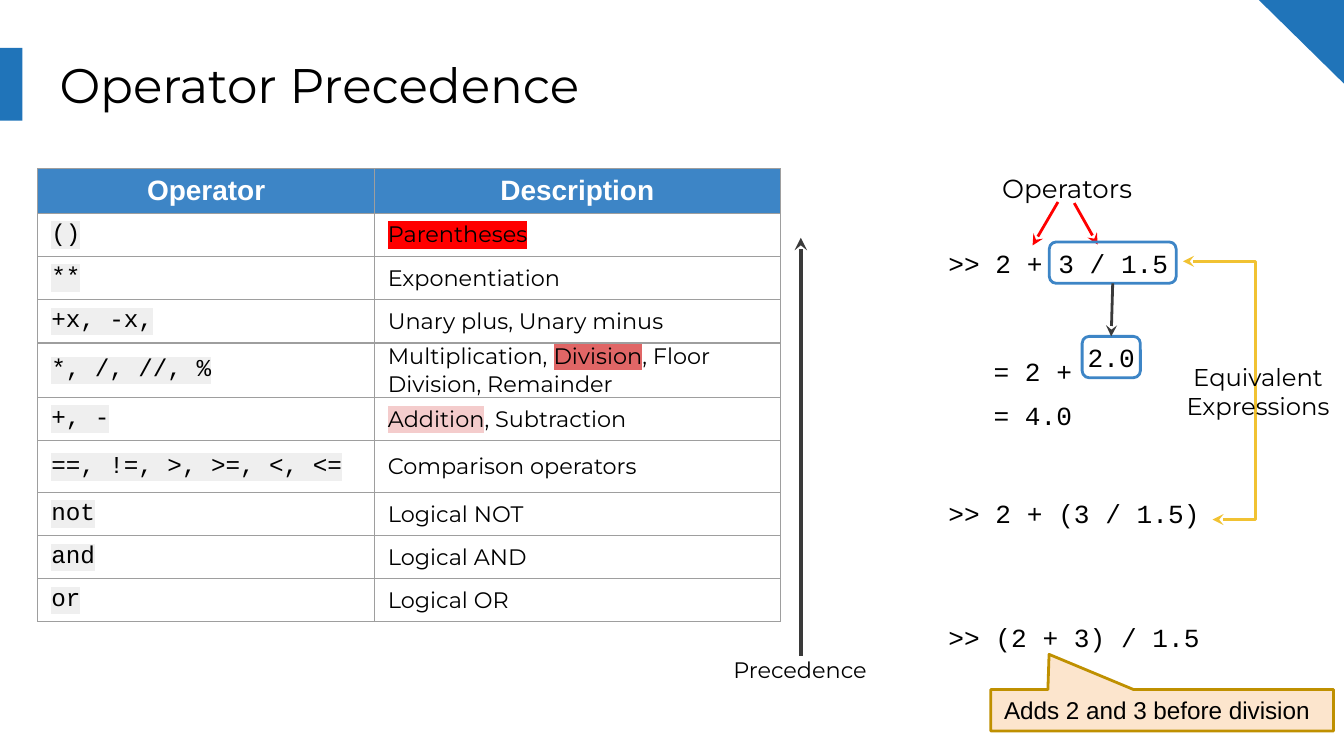
from lxml import etree
from pptx import Presentation
from pptx.dml.color import RGBColor
from pptx.enum.shapes import MSO_CONNECTOR, MSO_SHAPE
from pptx.enum.text import MSO_ANCHOR, PP_ALIGN
from pptx.oxml.ns import qn
from pptx.util import Pt

LEFT, CENTER = PP_ALIGN.LEFT, PP_ALIGN.CENTER
TOP, MIDDLE = MSO_ANCHOR.TOP, MSO_ANCHOR.MIDDLE
STRAIGHT = MSO_CONNECTOR.STRAIGHT
BOTTOM_SITE, TOP_SITE = 2, 0
MONO, SANS, PLAIN = "Courier New", "Montserrat", "Arial"
COLORS = {
    "brand": "2074B9", "blue": "3D85C6", "white": "FFFFFF", "black": "000000",
    "grid": "9E9E9E", "code": "EFEFEF", "dark": "3A3A3A", "red": "FF0000",
    "salmon": "E06666", "pink": "F4CCCC", "yellow": "F1C232",
    "peach": "FCE5CD", "gold": "BF9000",
}

HEADERS = ["Operator", "Description"]
# operator, description runs as (text, highlight), row height
OPERATORS = [
    ("()", [("Parentheses", "red")], 23.2),
    ("**", [("Exponentiation", None)], 23.2),
    ("+x, -x,", [("Unary plus, Unary minus", None)], 23.2),
    ("*, /, //, %", [("Multiplication, ", None), ("Division", "salmon"),
                     (", Floor Division, Remainder", None)], 29.2),
    ("+, -", [("Addition", "pink"), (", Subtraction", None)], 23.2),
    ("==, !=, >, >=, <, <=", [("Comparison operators", None)], 27.8),
    ("not", [("Logical NOT", None)], 23.1),
    ("and", [("Logical AND", None)], 23.1),
    ("or", [("Logical OR", None)], 23.1),
]
TABLE_LEFT, TABLE_TOP, HEADER_HEIGHT = 20.3, 90.4, 23.8
COLUMN_WIDTHS = [180.3, 217.4]

# lines, (left, top, width, height), font, size, alignment, line spacing
LABELS = [
    (["Precedence"], (385.8, 344.2, 109, 29), SANS, 12, LEFT, None),
    (["Operators"], (523.5, 85, 96.5, 31.5), SANS, 14, CENTER, None),
    ([">> 2 + 3 / 1.5"], (501, 125.5, 190, 31.5), MONO, 14, LEFT, None),
    (["= 2 +"], (525.2, 175, 67.5, 31.5), MONO, 14, LEFT, 1.5),
    (["= 4.0"], (525.2, 198.5, 67.5, 31.5), MONO, 14, LEFT, 1.5),
    ([">> 2 + (3 / 1.5)"], (501, 259.5, 190, 31.5), MONO, 14, LEFT, None),
    (["Equivalent", "Expressions"], (625.7, 186.8, 96.5, 46), SANS, 13, CENTER, None),
    ([">> (2 + 3) / 1.5"], (501, 325.5, 190, 31.5), MONO, 14, LEFT, None),
]
# start, end, colour, width
ARROWS = [
    ((429, 351.4), (429, 127.4), "dark", 2.25),
    ((566.8, 108.2), (553.2, 131.5), "red", 1.5),
    ((575.5, 108.8), (588, 131), "red", 1.5),
]
EQUIVALENCE_PATH = [(633.8, 140), (672.8, 140), (672.8, 278.4), (649.6, 278.4)]


def rgb(name):
    return RGBColor.from_string(COLORS[name])


def add_run(paragraph, text, font, size, color="black", bold=False, highlight=None):
    run = paragraph.add_run()
    run.text = text
    run.font.color.rgb = rgb(color)
    if highlight:
        mark = etree.SubElement(run.font._element, qn("a:highlight"))
        etree.SubElement(mark, qn("a:srgbClr"), val=COLORS[highlight])
    run.font.name = font
    run.font.size = Pt(size)
    run.font.bold = bold


def set_insets(frame, horizontal, vertical):
    frame.margin_left = frame.margin_right = Pt(horizontal)
    frame.margin_top = frame.margin_bottom = Pt(vertical)


def add_label(shapes, lines, box, font, size, alignment=LEFT, spacing=None, anchor=TOP):
    frame = shapes.add_textbox(*map(Pt, box)).text_frame
    frame.word_wrap = True
    frame.vertical_anchor = anchor
    set_insets(frame, 7.2, 7.2)
    for index, line in enumerate(lines):
        paragraph = frame.add_paragraph() if index else frame.paragraphs[0]
        paragraph.alignment = alignment
        if spacing:
            paragraph.line_spacing = spacing
        add_run(paragraph, line, font, size)


def add_panel(shapes, preset, box, fill=None, outline=None, adjustments=()):
    panel = shapes.add_shape(preset, *map(Pt, box))
    panel.shadow.inherit = False
    for index, value in enumerate(adjustments):
        panel.adjustments[index] = value
    if fill:
        panel.fill.solid()
        panel.fill.fore_color.rgb = rgb(fill)
    else:
        panel.fill.background()
    if outline:
        panel.line.color.rgb = rgb(outline)
        panel.line.width = Pt(1.5)
    else:
        panel.line.fill.background()
    return panel


def fill_panel_text(panel, text, font, size, alignment, inset):
    frame = panel.text_frame
    frame.word_wrap = True
    frame.vertical_anchor = MIDDLE
    set_insets(frame, inset, 7.2)
    frame.paragraphs[0].alignment = alignment
    add_run(frame.paragraphs[0], text, font, size)


def style_line(shape, color, width, ends):
    shape.line.color.rgb = rgb(color)
    shape.line.width = Pt(width)
    for end in ends:
        etree.SubElement(shape.line._get_or_add_ln(), qn(f"a:{end}"), type="stealth")


def add_arrow(shapes, start, end, color, width):
    arrow = shapes.add_connector(STRAIGHT, *map(Pt, start + end))
    style_line(arrow, color, width, ["tailEnd"])
    etree.SubElement(arrow._element.spPr, qn("a:effectLst"))
    return arrow


def style_cell(cell, alignment, inset, fill=None):
    cell.vertical_anchor = MIDDLE
    set_insets(cell, inset, 0)
    if fill:
        cell.fill.solid()
        cell.fill.fore_color.rgb = rgb(fill)
    else:
        cell.fill.background()
    for index, side in enumerate(["lnL", "lnR", "lnT", "lnB"]):
        border = etree.Element(qn(f"a:{side}"), w=str(Pt(0.75)))
        paint = etree.SubElement(border, qn("a:solidFill"))
        etree.SubElement(paint, qn("a:srgbClr"), val=COLORS["grid"])
        cell._tc.get_or_add_tcPr().insert(index, border)
    paragraph = cell.text_frame.paragraphs[0]
    paragraph.alignment = alignment
    return paragraph


def add_operator_table(shapes):
    heights = [HEADER_HEIGHT] + [height for _, _, height in OPERATORS]
    table = shapes.add_table(len(heights), len(HEADERS), Pt(TABLE_LEFT), Pt(TABLE_TOP),
                             Pt(sum(COLUMN_WIDTHS)), Pt(sum(heights))).table
    table.horz_banding = False
    for column, width in zip(table.columns, COLUMN_WIDTHS):
        column.width = Pt(width)
    for row, height in zip(table.rows, heights):
        row.height = Pt(height)
    for column, header in enumerate(HEADERS):
        paragraph = style_cell(table.cell(0, column), CENTER, 0, "blue")
        add_run(paragraph, header, PLAIN, 15, "white", True)
    for row, (operator, description, _) in enumerate(OPERATORS, 1):
        paragraph = style_cell(table.cell(row, 0), LEFT, 7.2)
        add_run(paragraph, operator, MONO, 13, highlight="code")
        paragraph = style_cell(table.cell(row, 1), LEFT, 7.2)
        for text, highlight in description:
            add_run(paragraph, text, SANS, 12, highlight=highlight)


def main():
    deck = Presentation()
    deck.slide_width, deck.slide_height = Pt(720), Pt(405)
    shapes = deck.slides.add_slide(deck.slide_layouts[6]).shapes

    add_panel(shapes, MSO_SHAPE.RECTANGLE, (0, 25.7, 12, 39), "brand")
    corner = add_panel(shapes, MSO_SHAPE.RIGHT_TRIANGLE, (674.4, 0, 45.8, 45), "brand")
    corner.rotation = 180
    add_label(shapes, ["Operator Precedence"], (24.8, 22.5, 671, 45), SANS, 26, anchor=MIDDLE)
    add_operator_table(shapes)

    for arrow in ARROWS:
        add_arrow(shapes, *arrow)
    division = add_panel(shapes, MSO_SHAPE.ROUNDED_RECTANGLE, (562.1, 129.6, 68, 22.2),
                         outline="blue", adjustments=[0.17])
    quotient = add_panel(shapes, MSO_SHAPE.ROUNDED_RECTANGLE, (579.7, 180.2, 31.2, 22.2),
                         outline="blue", adjustments=[0.17])
    fill_panel_text(quotient, "2.0", MONO, 14, CENTER, 0)
    evaluation = add_arrow(shapes, (596.1, 151.8), (595.3, 180.2), "dark", 1.5)
    evaluation.begin_connect(division, BOTTOM_SITE)
    evaluation.end_connect(quotient, TOP_SITE)

    start, *corners = [tuple(map(Pt, point)) for point in EQUIVALENCE_PATH]
    builder = shapes.build_freeform(*start)
    builder.add_line_segments(corners, close=False)
    equivalence = builder.convert_to_shape()
    equivalence.shadow.inherit = False
    equivalence.fill.background()
    style_line(equivalence, "yellow", 1.5, ["headEnd", "tailEnd"])

    for label in LABELS:
        add_label(shapes, *label)
    callout = add_panel(shapes, MSO_SHAPE.ROUNDED_RECTANGULAR_CALLOUT,
                        (530.8, 369.4, 183.6, 22.2), "peach", "gold", [-0.33, -1.35, 0])
    fill_panel_text(callout, "Adds 2 and 3 before division", PLAIN, 13, LEFT, 7.2)
    deck.save("out.pptx")


if __name__ == "__main__":
    main()
